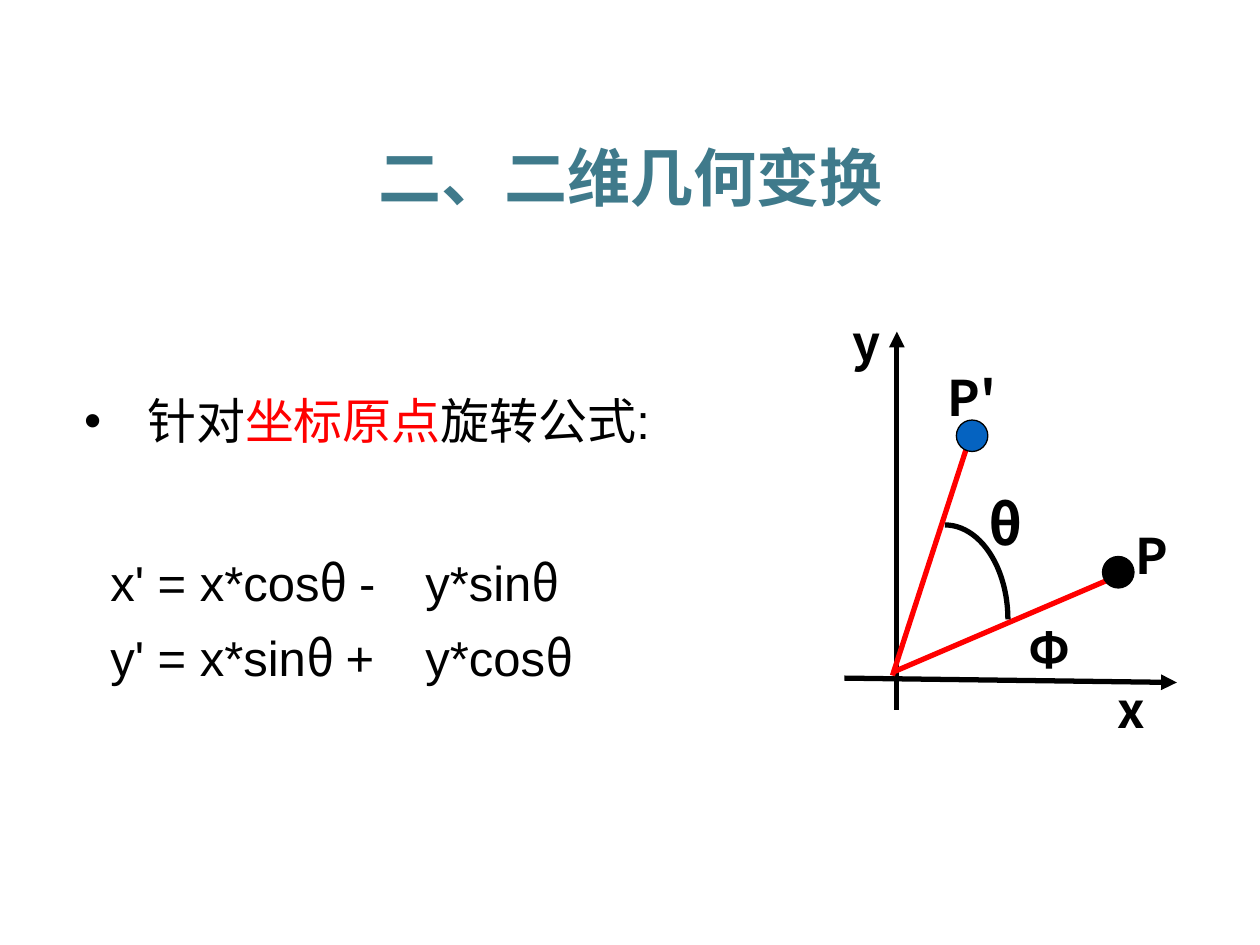
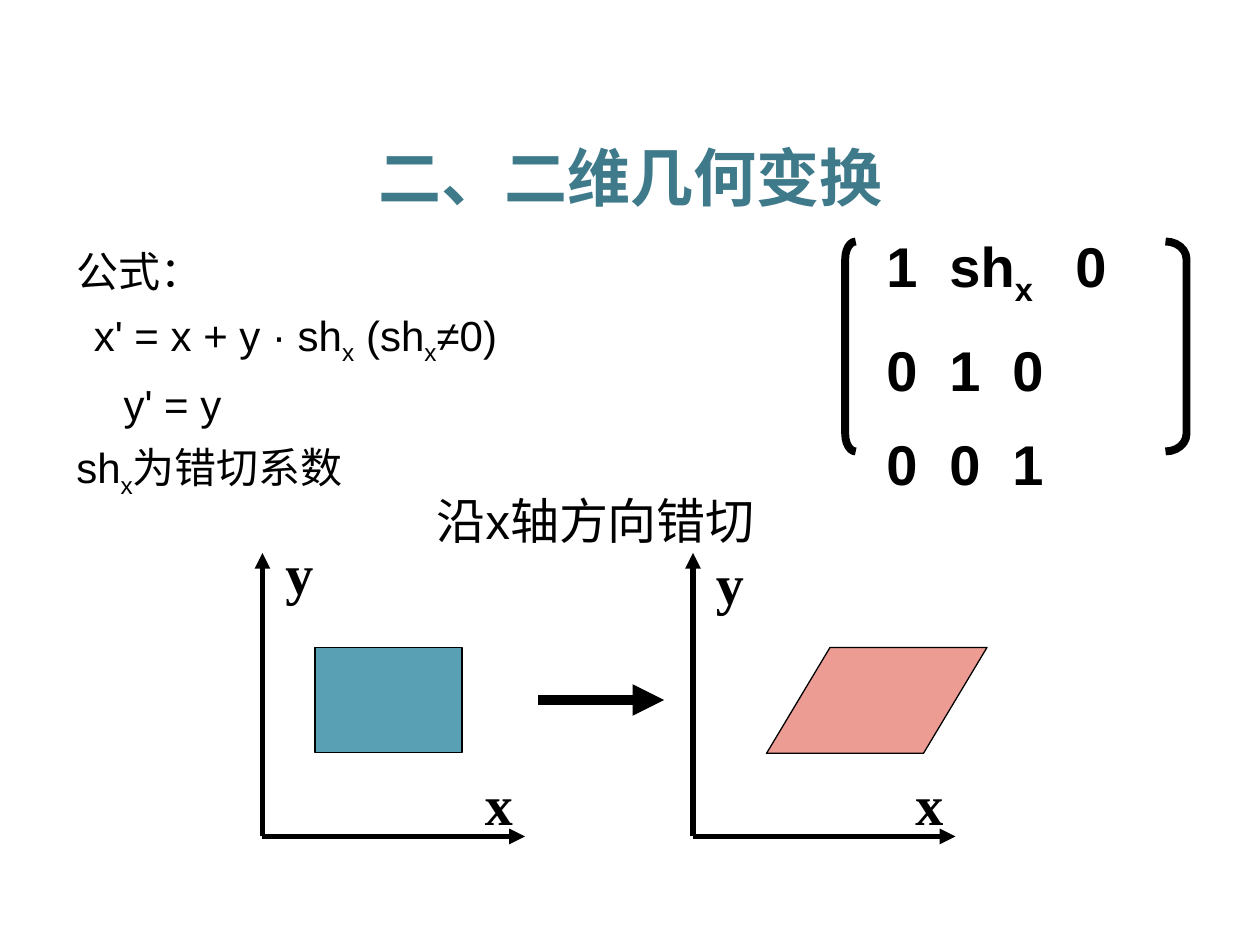
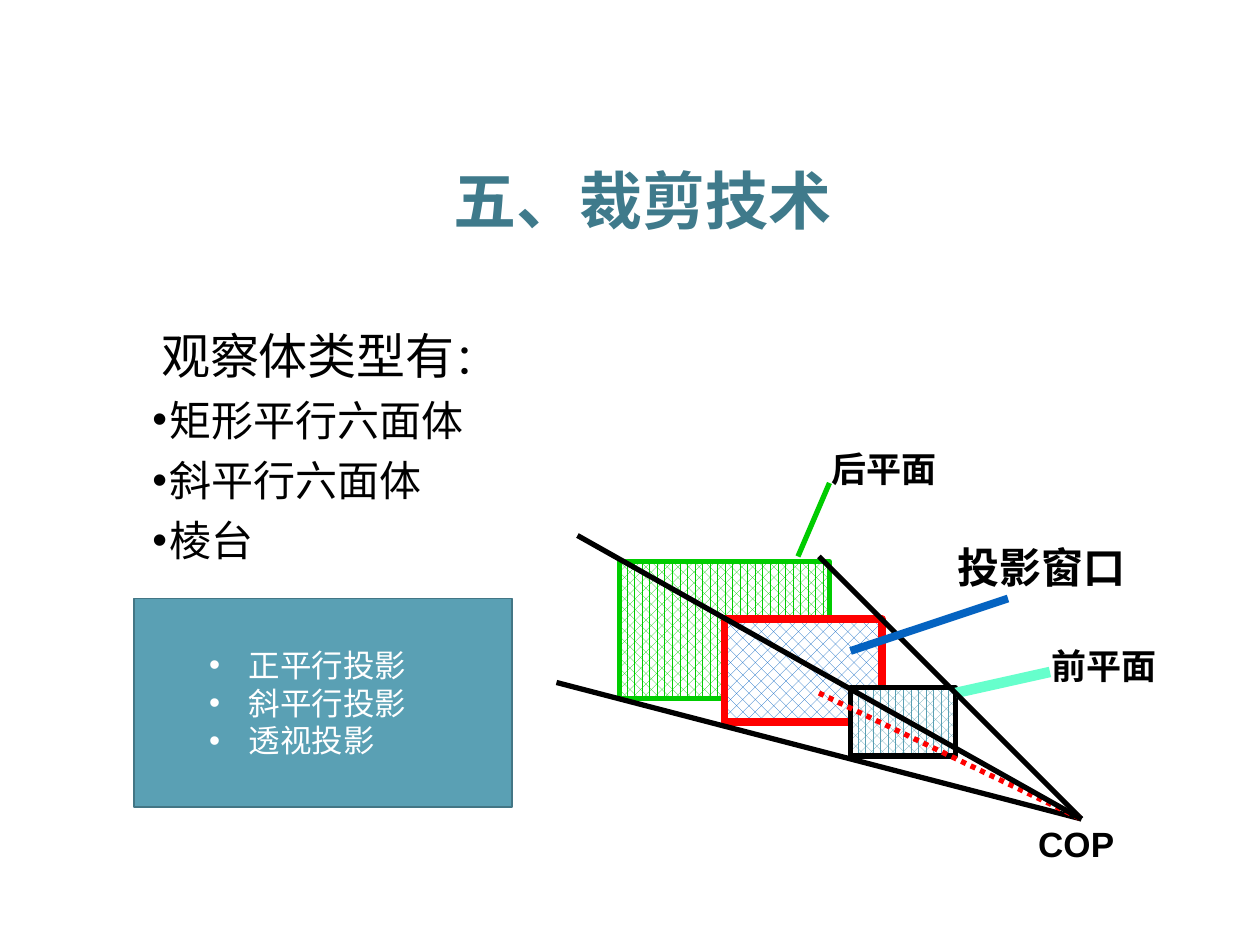
from dataclasses import dataclass
from typing import NamedTuple

from lxml import etree
from pptx import Presentation
from pptx.dml.color import RGBColor
from pptx.enum import dml, shapes, text
from pptx.oxml import ns
from pptx.util import Pt

BLACK = RGBColor(0, 0, 0)
WHITE = RGBColor(255, 255, 255)
RED = RGBColor(255, 0, 0)
BLUE = RGBColor(0x05, 0x63, 0xC1)
TEAL = RGBColor(0x5A, 0xA0, 0xB4)
DEEP = RGBColor(0x3F, 0x7A, 0x8B)
EDGE = RGBColor(0x43, 0x76, 0x85)
PINK = RGBColor(0xED, 0x9C, 0x94)
GREEN = RGBColor(0, 0xCC, 0)
MINT = RGBColor(0x66, 0xFF, 0xCC)

ARIAL = "Arial"
NOTO = "Noto Sans CJK SC"
TIMES = "Times New Roman"
KIND = shapes.MSO_SHAPE
HATCH = dml.MSO_PATTERN


class Box(NamedTuple):
    x: float
    y: float
    w: float
    h: float


class Run(NamedTuple):
    words: str
    face: str = ARIAL
    color: RGBColor = BLACK
    sub: bool = False
    size: float = 0


@dataclass
class Par:
    runs: list[Run]
    size: float = 28
    left: float = 0
    hang: float = 0
    gap: float = 0
    line: float = 1.2
    dot: bool = False
    tabs: tuple[float, ...] = ()
    bold: bool = False


@dataclass
class Label:
    words: str
    box: Box
    size: float = 28
    face: str = NOTO
    pad: bool = True
    mid: bool = False


@dataclass
class Line:
    x1: float
    y1: float
    x2: float
    y2: float
    color: RGBColor = BLACK
    width: float = 3
    arrow: bool = False
    dots: bool = False


@dataclass
class Form:
    kind: KIND
    box: Box
    fill: RGBColor | None = None
    edge: RGBColor = BLACK
    width: float = 0.75
    hatch: HATCH | None = None
    adj: float | None = None


def add(parent, tag: str, **attrs: str):
    node = etree.SubElement(parent, ns.qn(tag))
    for name, value in attrs.items():
        node.set(name, value)
    return node


def place(shape, box: Box) -> None:
    shape.left, shape.top, shape.width, shape.height = map(Pt, box)


def put_run(para, run: Run, size: float, bold: bool) -> None:
    item = para.add_run()
    item.text = run.words
    font = item.font
    font.size, font.bold, font.name = Pt(run.size or size), bold, run.face
    font.color.rgb = run.color
    props = font._element
    add(props, "a:ea", typeface=NOTO)
    if run.sub:
        props.set("baseline", "-25000")


def put_text(frame, pars: list[Par], align=text.PP_ALIGN.LEFT) -> None:
    frame.word_wrap = True
    frame.auto_size = text.MSO_AUTO_SIZE.NONE
    for i, par in enumerate(pars):
        para = frame.add_paragraph() if i else frame.paragraphs[0]
        props = para._p.get_or_add_pPr()
        props.set("marL", str(Pt(par.left)))
        props.set("indent", str(Pt(-par.hang)))
        if par.dot:
            add(props, "a:buFont", typeface=ARIAL)
            add(props, "a:buChar", char="•")
        if par.tabs:
            stops = add(props, "a:tabLst")
            for stop in par.tabs:
                add(stops, "a:tab", pos=str(Pt(stop)), algn="l")
        para.alignment = align
        para.line_spacing = par.line
        if i:
            para.space_before = Pt(par.gap)
        for run in par.runs:
            put_run(para, run, par.size, par.bold)


def put_box(slide, box: Box, pars: list[Par]) -> None:
    put_text(slide.shapes.add_textbox(*map(Pt, box)).text_frame, pars)


def put_label(slide, label: Label) -> None:
    frame = slide.shapes.add_textbox(*map(Pt, label.box)).text_frame
    if not label.pad:
        frame.margin_left = frame.margin_right = 0
        frame.margin_top = frame.margin_bottom = 0
    par = Par([Run(label.words, label.face)], label.size, line=1, bold=True)
    align = text.PP_ALIGN.CENTER if label.mid else text.PP_ALIGN.LEFT
    put_text(frame, [par], align)


def put_line(slide, line: Line) -> None:
    ends = map(Pt, (line.x1, line.y1, line.x2, line.y2))
    item = slide.shapes.add_connector(shapes.MSO_CONNECTOR.STRAIGHT, *ends)
    item.line.color.rgb = line.color
    item.line.width = Pt(line.width)
    if line.dots:
        item.line.dash_style = dml.MSO_LINE.ROUND_DOT
    if line.arrow:
        add(item.line._get_or_add_ln(), "a:tailEnd", type="triangle")
    add(item._element.spPr, "a:effectLst")


def put_form(slide, form: Form):
    item = slide.shapes.add_shape(form.kind, *map(Pt, form.box))
    item.shadow.inherit = False
    if form.adj is not None:
        item.adjustments[0] = form.adj
    if form.hatch is not None:
        item.fill.patterned()
        item.fill.pattern = form.hatch
        item.fill.fore_color.rgb = form.fill
        item.fill.back_color.rgb = WHITE
    elif form.fill is not None:
        item.fill.solid()
        item.fill.fore_color.rgb = form.fill
    else:
        item.fill.background()
    item.line.color.rgb = form.edge
    item.line.width = Pt(form.width)
    return item


def draw(slide, items: list[Label | Line | Form]) -> None:
    tools = {Label: put_label, Line: put_line, Form: put_form}
    for item in items:
        tools[type(item)](slide, item)


def start(deck, words: str, box: Box):
    slide = deck.slides.add_slide(deck.slide_layouts[5])
    title = slide.shapes.title
    place(title, box)
    frame = title.text_frame
    frame.vertical_anchor = text.MSO_ANCHOR.MIDDLE
    par = Par([Run(words, NOTO, DEEP)], 36, line=1, bold=True)
    put_text(frame, [par], text.PP_ALIGN.CENTER)
    return slide


def sums(lead: str, sign: str, tail: str, gap: float) -> Par:
    runs = [Run(f"\t{lead}"), Run("θ ", NOTO), Run(f"{sign}\t{tail}"),
            Run("θ", NOTO)]
    return Par(runs, gap=gap, tabs=(57, 223))


def turn(deck) -> None:
    slide = start(deck, "二、二维几何变换", Box(24, 71, 672, 60))
    put_box(slide, Box(20, 213, 426, 184), [
        Par([Run("针对"), Run("坐标原点", color=RED), Run("旋转公式:")],
            left=57, hang=36, dot=True),
        sums("x' = x*cos", "-", "y*sin", 52),
        sums("y' = x*sin", "+", "y*cos", 2.8),
    ])
    draw(slide, [
        Line(512.5, 405.5, 512.5, 189.5, arrow=True),
        Line(482.5, 387.5, 672.5, 390, arrow=True),
        Line(510.5, 384, 636.5, 330, RED),
        Label("x", Box(631.5, 385, 29, 41)),
        Label("y", Box(480, 175, 29, 41)),
        Label("P", Box(641.5, 296.5, 29, 41)),
        Label("P'", Box(534.5, 206.5, 42.5, 41)),
        Line(510, 386, 552.5, 255.5, RED),
        Label("θ", Box(558, 276, 47, 45), 32),
        Label("Ф", Box(588, 354, 36, 34), pad=False),
        Form(KIND.ARC, Box(504, 300, 72, 108), width=3),
        Form(KIND.OVAL, Box(630, 318, 18, 18), BLACK),
        Form(KIND.OVAL, Box(546.5, 240, 18, 18), BLUE),
    ])


def axes(x: float, high: float) -> list[Label | Line]:
    base = 478
    return [
        Line(x, base, x + 150, base, arrow=True),
        Line(x, base, x, 316, arrow=True),
        Label("y", Box(x + 6, high, 48, 45), 32, TIMES),
        Label("x", Box(x + 120, 436, 48, 45), 32, TIMES),
    ]


def shear(deck) -> None:
    slide = start(deck, "二、二维几何变换", Box(24, 71, 672, 60))
    low = Run("x", sub=True)
    put_box(slide, Box(242.5, 270, 519, 47.5), [Par([Run("沿x轴方向错切")])])
    put_box(slide, Box(36.5, 131, 430, 150), [
        Par([Run("公式：", NOTO)], 24),
        Par([Run("x' = x + y · sh"), low, Run(" (sh"), low, Run("≠0)")],
            24, left=10, gap=1),
        Par([Run("y' = y")], 24, left=27, gap=1),
        Par([Run("sh"), low, Run("为错切系数", NOTO)], 24, gap=1),
    ])
    draw(slide, axes(150, 304) + axes(396, 310) + [
        Line(307.5, 400, 379.5, 400, width=6, arrow=True),
        Form(KIND.RECTANGLE, Box(180, 370, 84, 60), TEAL),
        Form(KIND.PARALLELOGRAM, Box(438, 370, 126, 60.5), PINK, adj=0.6),
        Form(KIND.LEFT_BRACKET, Box(483, 138, 6, 120), width=4.5, adj=1.67),
        Form(KIND.RIGHT_BRACKET, Box(666, 138, 12, 120), width=4.5, adj=0.83),
    ])
    top = Par([Run("1\tsh"), low, Run("\t0")], 32, tabs=(44, 127.5), bold=True)
    rest = [Par([Run(row)], 32, gap=8, tabs=(62, 124), bold=True)
            for row in ("0\t1\t0", "0\t0\t1")]
    put_box(slide, Box(499.5, 120, 177, 163.5), [top, *rest])


def clip(deck) -> None:
    slide = start(deck, "五、裁剪技术", Box(31, 88.5, 672, 51))
    kinds = ("矩形平行六面体", "斜平行六面体", "棱台")
    put_box(slide, Box(60, 179, 628.5, 149), [
        Par([Run("观察体类型有"), Run("：", size=24)], left=25, line=1.1),
        *[Par([Run(kind)], 24, left=30, hang=10, gap=2.8, line=1.1, dot=True)
          for kind in kinds],
    ])
    eye = (618, 468)
    draw(slide, [
        Form(KIND.RECTANGLE, Box(354, 321, 120, 78), GREEN, GREEN, 3,
             HATCH.PERCENT_60),
        Form(KIND.RECTANGLE, Box(414, 354, 90, 58.5), BLUE, RED, 4.5,
             HATCH.PERCENT_30),
        Form(KIND.RECTANGLE, Box(486, 393, 60, 39), TEAL, BLACK, 3,
             HATCH.PERCENT_60),
        Label("后平面", Box(468, 252, 90, 31), 20, ARIAL),
        Line(456, 318, 474, 276, GREEN),
        Line(546, 396, 600, 384, MINT, 6),
        Label("前平面", Box(594, 365, 108, 31), 20, ARIAL),
        Line(318, 390, *eye),
        Line(468, 318, *eye),
        Line(468, 396, *eye, RED, dots=True),
        Line(486, 372, 576, 342, BLUE, 4.5),
        Label("投影窗口", Box(540, 306, 132, 36), 24, ARIAL),
        Label("COP", Box(582, 466.5, 66, 31), 20, ARIAL, mid=True),
        Line(330, 306, *eye),
    ])
    panel = put_form(slide, Form(KIND.RECTANGLE, Box(76.5, 342, 216, 119),
                                 TEAL, EDGE, 1))
    panel.text_frame.vertical_anchor = text.MSO_ANCHOR.MIDDLE
    put_text(panel.text_frame, [
        Par([Run(way, color=WHITE)], 18, left=58.5, hang=22.5, line=1,
            dot=True)
        for way in ("正平行投影", "斜平行投影", "透视投影")
    ])


def main() -> None:
    deck = Presentation()
    deck.slide_width, deck.slide_height = Pt(720), Pt(540)
    for build in (turn, shear, clip):
        build(deck)
    deck.save("out.pptx")


if __name__ == "__main__":
    main()
